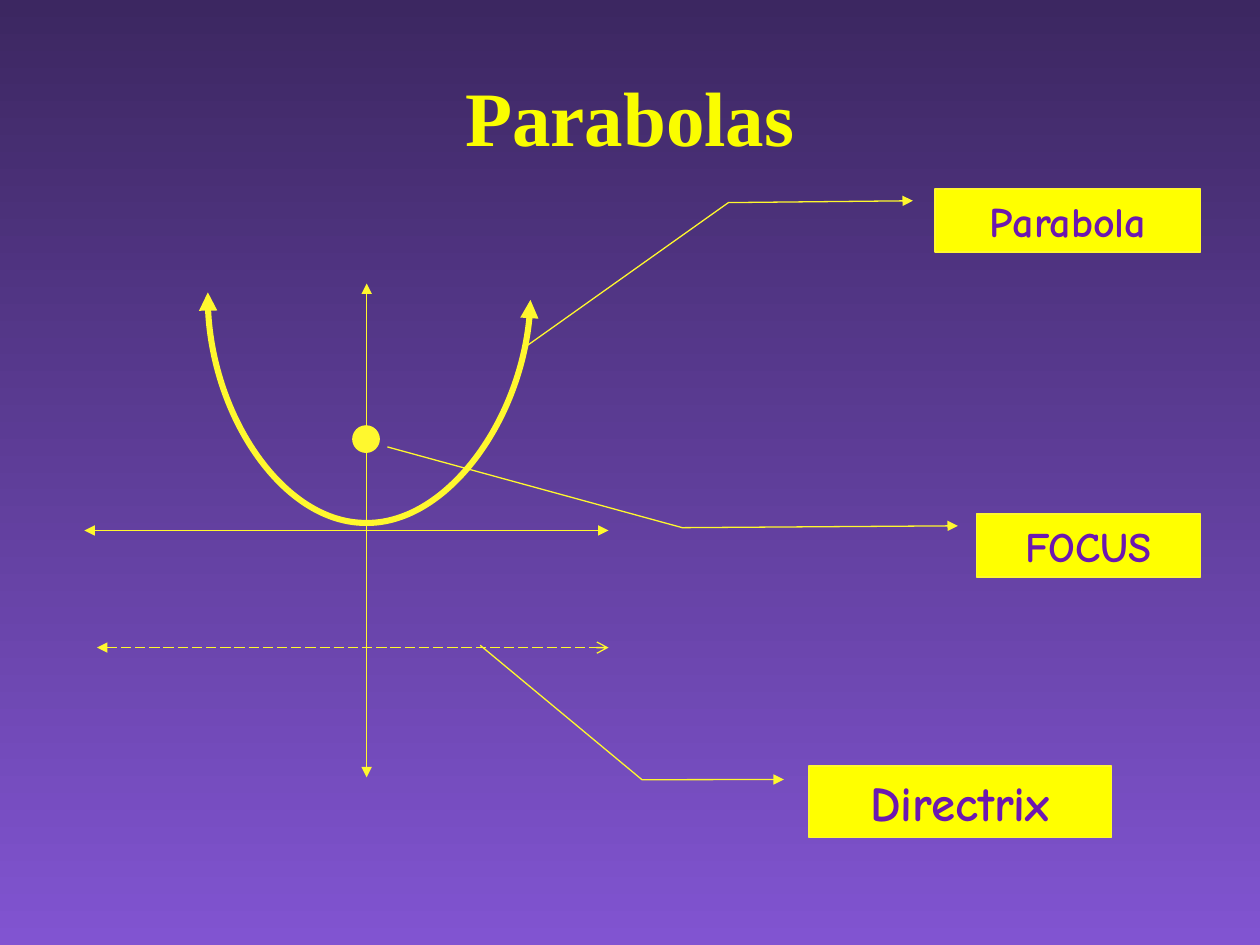
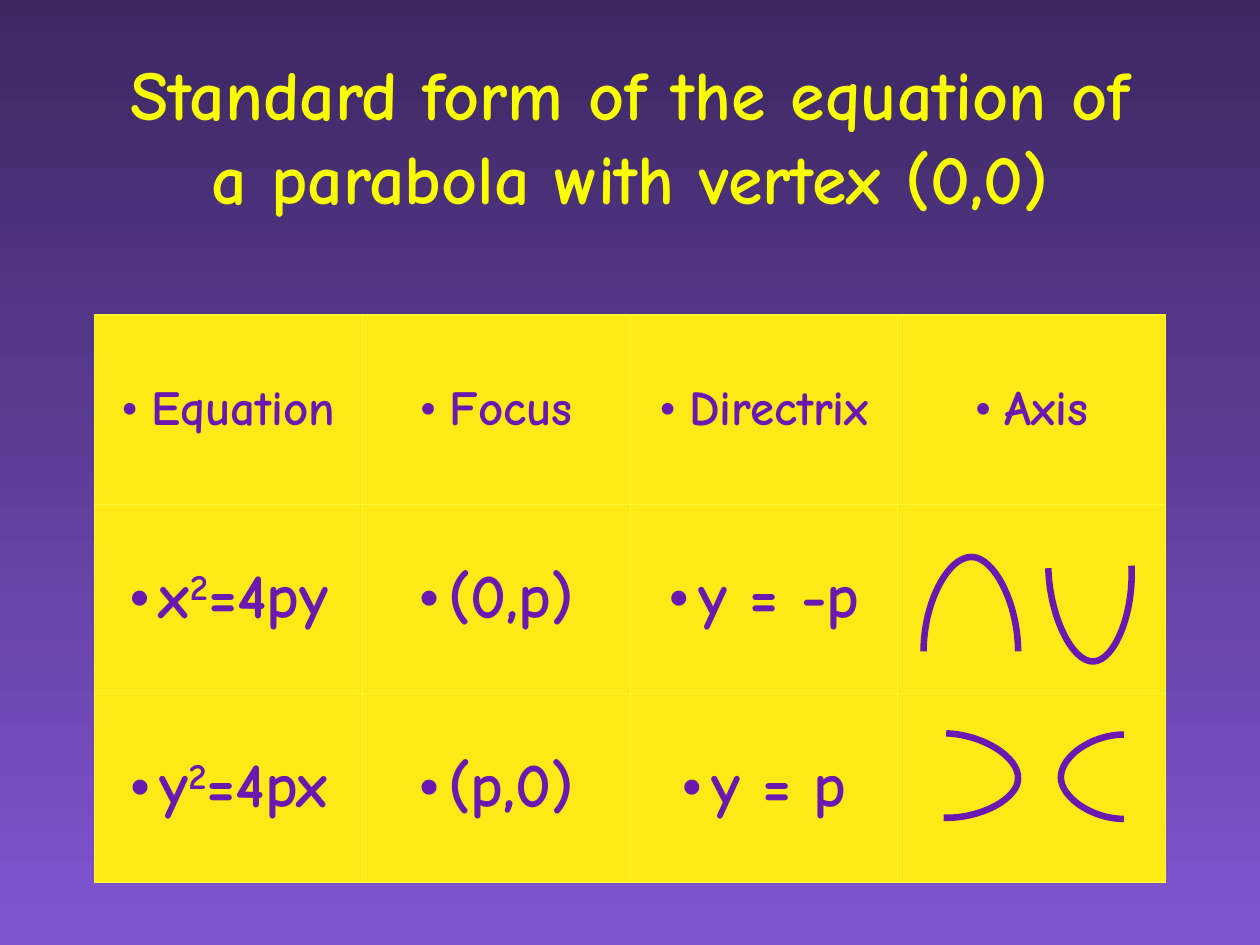
from dataclasses import dataclass

from lxml.etree import SubElement
from pptx import Presentation
from pptx.dml.color import RGBColor
from pptx.enum.dml import MSO_LINE
from pptx.enum.shapes import MSO_CONNECTOR, MSO_SHAPE
from pptx.enum.text import MSO_ANCHOR, MSO_AUTO_SIZE, PP_ALIGN
from pptx.oxml.ns import qn
from pptx.util import Inches, Pt


@dataclass(frozen=True)
class Theme:
    sky_top: str = "3C2761"
    sky_bottom: str = "8154D1"
    title: str = "FAFD00"
    label_fill: str = "FFFF00"
    line: str = "FFF82E"
    cell_fill: str = "FFEA18"
    ink: str = "6C18B0"
    font: str = "Comic Neue"
    serif: str = "Times New Roman"
    diagram_title: int = 44
    table_title: int = 40
    header: int = 28
    formula: int = 36
    thin: float = 0.75
    inner_border: float = 0.45
    outer_border: float = 1.08


T = Theme()

# text, size, box, callout adjustments (y, x pairs as fractions of the box)
CALLOUTS = [
    ("FOCUS", 24, (7.75, 4.08, 1.78, 0.5), (0.188, -0.083, 0.217, -1.312, -1.066, -2.627)),
    ("Directrix", 28, (6.42, 6.08, 2.4, 0.57), (0.188, -0.083, 0.191, -0.552, -1.681, -1.087)),
    ("Parabola", 24, (7.42, 1.5, 2.11, 0.5), (0.188, -0.083, 0.217, -0.777, 2.511, -1.542)),
]
# from, to, dash, arrowhead at the end
AXES = [
    ((0.67, 4.21), (4.83, 4.21), None, "triangle"),
    ((2.91, 2.25), (2.91, 6.17), None, "triangle"),
    ((0.77, 5.14), (4.83, 5.14), MSO_LINE.LONG_DASH, "arrow"),
]
FOCUS_POINT = (2.8, 3.38, 0.21, 0.21)
# Bezier points: start, two controls, vertex, two controls, end
MAIN_PARABOLA = [(1.65, 2.32), (1.63, 3.23), (2.25, 4.14), (2.89, 4.15),
                 (3.53, 4.17), (4.19, 3.28), (4.21, 2.38)]
SMALL_PARABOLAS = [
    [(8.08, 5.17), (8.08, 4.79), (7.89, 4.42), (7.71, 4.42),
     (7.52, 4.42), (7.33, 4.79), (7.33, 5.17)],
    [(8.32, 4.51), (8.33, 4.89), (8.51, 5.26), (8.68, 5.25),
     (8.85, 5.24), (9, 4.86), (8.98, 4.49)],
    [(8.92, 5.83), (8.67, 5.83), (8.42, 6), (8.42, 6.17),
     (8.42, 6.33), (8.67, 6.5), (8.92, 6.5)],
    [(7.49, 6.49), (7.78, 6.5), (8.08, 6.34), (8.08, 6.18),
     (8.09, 6.01), (7.8, 5.83), (7.51, 5.82)],
]

# "^" stands before and after a superscript
ROWS = [
    ["Equation", "Focus", "Directrix", "Axis"],
    ["x^2^=4py", "(0,p)", "y = -p", ""],
    ["y^2^=4px", "(p,0)", "y = p", ""],
]
TABLE_BOX = (0.75, 2.5, 8.5, 4.5)


def rgb(color):
    return RGBColor.from_string(color)


def inches(values):
    return [Inches(v) for v in values]


def style_runs(p, size, color, font=T.font):
    p.alignment = PP_ALIGN.CENTER
    for r in p.runs:
        r.font.size, r.font.name, r.font.bold = Pt(size), font, True
        r.font.color.rgb = rgb(color)


def style_line(s, width=T.thin, color=T.line, dash=None, head=None, tail=None):
    s.line.color.rgb = rgb(color)
    s.line.width = Pt(width)
    if dash:
        s.line.dash_style = dash
    ln = s._element.spPr.find(qn("a:ln"))
    for tag, kind in (("a:headEnd", head), ("a:tailEnd", tail)):
        if kind:
            SubElement(ln, qn(tag), type=kind)


def add_titled_slide(prs, text, box, size, font):
    slide = prs.slides.add_slide(prs.slide_layouts[5])
    title = slide.shapes.title
    title.left, title.top, title.width, title.height = inches(box)
    tf = title.text_frame
    tf.text = text
    tf.auto_size = MSO_AUTO_SIZE.NONE
    tf.vertical_anchor = MSO_ANCHOR.MIDDLE
    style_runs(tf.paragraphs[0], size, T.title, font)
    return slide


def add_callout(slide, text, size, box, adjustments):
    s = slide.shapes.add_shape(MSO_SHAPE.LINE_CALLOUT_2, *inches(box))
    s.shadow.inherit = False
    for i, value in enumerate(adjustments):
        s.adjustments[i] = value
    s.fill.solid()
    s.fill.fore_color.rgb = rgb(T.label_fill)
    style_line(s, head="triangle")
    tf = s.text_frame
    tf.text = text
    tf.vertical_anchor = MSO_ANCHOR.TOP
    tf.auto_size = MSO_AUTO_SIZE.SHAPE_TO_FIT_TEXT
    style_runs(tf.paragraphs[0], size, T.ink)


def add_axis(slide, start, end, dash, tail):
    s = slide.shapes.add_connector(MSO_CONNECTOR.STRAIGHT, *inches(start + end))
    style_line(s, dash=dash, head="triangle", tail=tail)
    SubElement(s._element.spPr, qn("a:effectLst"))


def add_curve(slide, points, **line):
    """Draw a Bezier curve: each three points after the first make one segment."""
    start, *rest = [inches(point) for point in points]
    builder = slide.shapes.build_freeform(*start)
    builder.add_line_segments(rest, close=False)
    s = builder.convert_to_shape()
    outline = next(s._element.iter(qn("a:path")))
    segments = outline.findall(qn("a:lnTo"))
    for i in range(0, len(segments), 3):
        bezier = SubElement(outline, qn("a:cubicBezTo"))
        for segment in segments[i:i + 3]:
            bezier.append(segment[0])
            outline.remove(segment)
    s.shadow.inherit = False
    s.fill.background()
    style_line(s, **line)


def set_borders(cell, row, col):
    """Outer edges of the table are thicker than the inner ones."""
    edges = {"a:lnL": col == 0, "a:lnR": col == len(ROWS[0]) - 1,
             "a:lnT": row == 0, "a:lnB": row == len(ROWS) - 1}
    tcPr = cell._tc.get_or_add_tcPr()
    for tag, outer in edges.items():
        width = Pt(T.outer_border if outer else T.inner_border)
        ln = SubElement(tcPr, qn(tag), w=str(width))
        SubElement(SubElement(ln, qn("a:solidFill")), qn("a:srgbClr"), val=T.line)


def add_bullet(p):
    pPr = p._p.get_or_add_pPr()
    indent = Inches(0.24)
    pPr.set("marL", str(indent))
    pPr.set("indent", str(-indent))
    SubElement(SubElement(pPr, qn("a:buClr")), qn("a:srgbClr"), val=T.ink)
    SubElement(pPr, qn("a:buFont"), typeface=T.serif)
    SubElement(pPr, qn("a:buChar"), char="•")


def fill_cell(cell, text, row, col):
    set_borders(cell, row, col)
    cell.fill.solid()
    cell.fill.fore_color.rgb = rgb(T.cell_fill)
    cell.vertical_anchor = MSO_ANCHOR.MIDDLE
    if not text:
        return
    p = cell.text_frame.paragraphs[0]
    add_bullet(p)
    for i, part in enumerate(text.split("^")):
        r = p.add_run()
        r.text = part
        if i % 2:
            r._r.get_or_add_rPr().set("baseline", "30000")
    style_runs(p, T.formula if row else T.header, T.ink)


def add_equation_table(slide):
    frame = slide.shapes.add_table(len(ROWS), len(ROWS[0]), *inches(TABLE_BOX))
    table = frame.table
    table.first_row = table.horz_banding = False
    for i, texts in enumerate(ROWS):
        for j, text in enumerate(texts):
            fill_cell(table.cell(i, j), text, i, j)


def build_diagram(prs):
    slide = add_titled_slide(prs, "Parabolas", (0.75, 0.67, 8.5, 0.5), T.diagram_title, T.serif)
    for callout in CALLOUTS:
        add_callout(slide, *callout)
    for axis in AXES:
        add_axis(slide, *axis)
    dot = slide.shapes.add_shape(MSO_SHAPE.OVAL, *inches(FOCUS_POINT))
    dot.shadow.inherit = False
    dot.fill.solid()
    dot.fill.fore_color.rgb = rgb(T.line)
    style_line(dot)
    add_curve(slide, MAIN_PARABOLA, width=3.5, head="triangle", tail="triangle")


def build_equations(prs):
    slide = add_titled_slide(prs, "Standard form of the equation of a parabola with vertex (0,0)",
                             (0.75, 0.44, 8.5, 1.25), T.table_title, T.font)
    add_equation_table(slide)
    for parabola in SMALL_PARABOLAS:
        add_curve(slide, parabola, width=3.75, color=T.ink)


def main():
    prs = Presentation()
    prs.slide_width, prs.slide_height = Inches(10), Inches(7.5)
    fill = prs.slide_master.background.fill
    fill.gradient()
    fill.gradient_angle = 270
    for stop, color in zip(fill.gradient_stops, (T.sky_top, T.sky_bottom)):
        stop.color.rgb = rgb(color)
    build_diagram(prs)
    build_equations(prs)
    prs.save("out.pptx")


if __name__ == "__main__":
    main()
